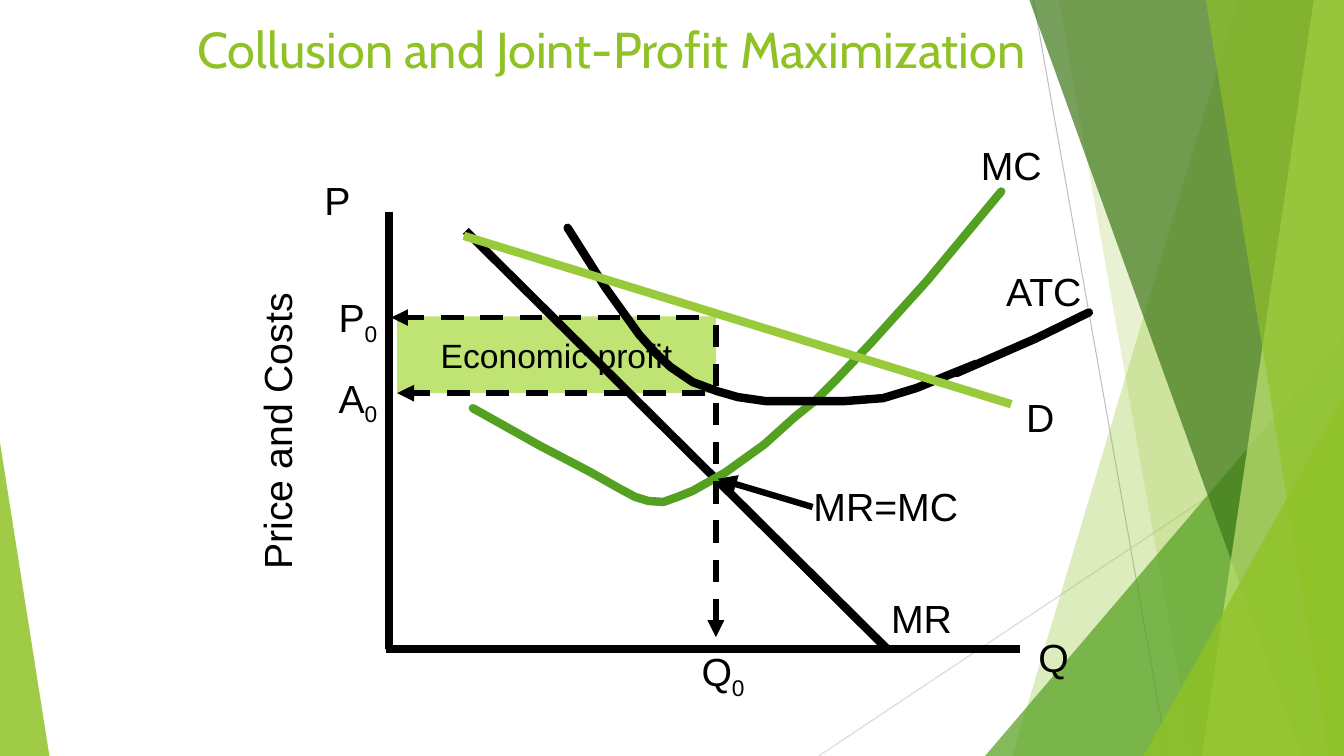
from pptx import Presentation, util as u
from pptx.dml.color import RGBColor
from pptx.enum import dml, shapes, text
from pptx.oxml.ns import qn
from lxml import etree

PX = 9144  # EMU per px, 100 px to the inch
WIDTH, HEIGHT = 1333, 750
COLORS = {
    "black": "000000", "lime": "90C226", "green": "54A021", "forest": "3F7819",
    "pale": "C0E474", "demand": "99CA3C", "grey": "BFBFBF", "silver": "D9D9D9",
}


class Diagram:
    """Holds the current slide and draws on it in px."""
    font = "Arial"
    title_font = "Cabin"
    label_size = 28

    def __init__(self, slide):
        self.slide = slide
        self.shapes = slide.shapes

    def color(self, name):
        return RGBColor.from_string(COLORS[name])

    def format_runs(self, frame, size, color="black", font=None):
        for run in frame.paragraphs[0].runs:
            run.font.size = u.Pt(size)
            run.font.name = font or self.font
            run.font.color.rgb = self.color(color)

    def fill(self, shape, color, opacity=100):
        shape.shadow.inherit = False
        shape.line.fill.background()
        shape.fill.solid()
        shape.fill.fore_color.rgb = self.color(color)
        if opacity < 100:
            rgb = shape.fill._xPr.find(".//" + qn("a:srgbClr"))
            etree.SubElement(rgb, qn("a:alpha"), val=str(opacity * 1000))

    def title(self, wording, *box):
        title = self.shapes.title
        title.left, title.top, title.width, title.height = (v * PX for v in box)
        frame = title.text_frame
        frame.text = wording
        frame.vertical_anchor = text.MSO_ANCHOR.TOP
        frame.paragraphs[0].alignment = text.PP_ALIGN.LEFT
        self.format_runs(frame, 36, "lime", self.title_font)

    def outline(self, points, closed):
        builder = self.shapes.build_freeform(*points[0], scale=PX)
        builder.add_line_segments(points[1:], close=closed)
        return builder.convert_to_shape()

    def polygon(self, points, color, opacity):
        self.fill(self.outline(points, True), color, opacity)

    def curve(self, points, color):
        curve = self.outline(points, False)
        curve.shadow.inherit = False
        curve.fill.background()
        curve.line.color.rgb = self.color(color)
        curve.line.width = u.Pt(6)
        curve.line._get_or_add_ln().set("cap", "rnd")

    def triangle(self, box, apex, color, opacity):
        triangle = self.shapes.add_shape(
            shapes.MSO_SHAPE.ISOSCELES_TRIANGLE, *(v * PX for v in box))
        triangle.adjustments[0] = apex
        self.fill(triangle, color, opacity)

    def line(self, start, end, color="black", width=6, dashed=False, arrow=False):
        line = self.shapes.add_connector(
            shapes.MSO_CONNECTOR.STRAIGHT, *(v * PX for v in start + end))
        line.line.color.rgb = self.color(color)
        line.line.width = u.Pt(width)
        if dashed:
            line.line.dash_style = dml.MSO_LINE.DASH
        if arrow:
            etree.SubElement(line.line._get_or_add_ln(), qn("a:tailEnd"), type="triangle")
        etree.SubElement(line._element.spPr, qn("a:effectLst"))

    def area(self, wording, box, color):
        area = self.shapes.add_shape(shapes.MSO_SHAPE.RECTANGLE, *(v * PX for v in box))
        self.fill(area, color)
        frame = area.text_frame
        frame.text = wording
        frame.word_wrap = False
        frame.vertical_anchor = text.MSO_ANCHOR.MIDDLE
        frame.paragraphs[0].alignment = text.PP_ALIGN.CENTER
        self.format_runs(frame, 24)

    def label(self, wording, x, y, width, height=56, subscript="", upward=False):
        box = self.shapes.add_textbox(x * PX, y * PX, width * PX, height * PX)
        frame = box.text_frame
        frame.text = wording
        frame.word_wrap = True
        paragraph = frame.paragraphs[0]
        if subscript:
            paragraph.add_run().text = subscript
        self.format_runs(frame, self.label_size)
        if subscript:
            paragraph.runs[1].font._element.set("baseline", "-25000")
        if upward:
            paragraph.alignment = text.PP_ALIGN.CENTER
            frame._txBody.bodyPr.set("vert", "vert270")


def draw_backdrop(diagram):
    def band(top_left, bottom_left, color, opacity):
        diagram.polygon([(top_left, 0), (WIDTH, 0), (WIDTH, HEIGHT), (bottom_left, HEIGHT)],
                        color, opacity)

    diagram.line((1025, 0), (1158, HEIGHT), "grey", 0.75)
    diagram.line((WIDTH, 403), (812, HEIGHT), "silver", 0.75)
    band(1228, 1004, "lime", 30)
    band(1050, 1183, "lime", 20)
    diagram.triangle((977, 333, 356, 417), 1, "green", 72)
    band(1021, 1291, "forest", 70)
    band(1303, 1192, "pale", 70)
    band(1196, 1318, "lime", 65)
    diagram.triangle((1134, 393, 199, 357), 1, "lime", 80)
    diagram.triangle((0, 439, 49, 311), 0, "lime", 85)


def draw_graph(diagram):
    marginal_cost = [
        (469, 405), (537, 443), (585, 468), (615, 485), (630, 493), (643, 497),
        (658, 498), (672, 493), (687, 487), (719, 469), (758, 441), (788, 414),
        (809, 397), (831, 375), (865, 339), (920, 278), (993, 190)]
    average_cost = [
        (563, 226), (601, 286), (634, 332), (651, 351), (665, 364), (687, 379),
        (711, 388), (732, 394), (760, 398), (791, 398), (837, 398), (876, 395),
        (909, 385), (931, 376), (968, 361), (949, 370), (995, 350), (1027, 336),
        (1080, 310)]

    diagram.area("Economic profit", (394, 314, 316, 76), "pale")
    diagram.line((462, 229), (880, 644))
    diagram.line((386, 210), (386, 644))
    diagram.line((383, 644), (1012, 644))
    diagram.curve(marginal_cost, "green")
    diagram.curve(average_cost, "black")
    diagram.line((693, 315), (388, 315), width=4, dashed=True, arrow=True)
    diagram.line((710, 322), (710, 632), width=4, dashed=True, arrow=True)
    diagram.line((460, 234), (1003, 401), "demand")
    diagram.line((699, 390), (394, 390), width=4, dashed=True, arrow=True)
    diagram.line((806, 503), (712, 475), width=4.5, arrow=True)

    for wording, x, y, width in [
            ("Q", 1020, 623, 55), ("D", 1008, 385, 71), ("MC", 963, 135, 97),
            ("ATC", 988, 260, 148), ("MR", 874, 585, 97), ("P", 312, 170, 50),
            ("MR=MC", 797, 474, 173)]:
        diagram.label(wording, x, y, width)
    for wording, x, y in [("Q", 686, 637), ("A", 326, 366), ("P", 326, 286)]:
        diagram.label(wording, x, y, 70, subscript="0")
    diagram.label("Price and Costs", 246, 248, 67, 360, upward=True)


def main():
    deck = Presentation()
    deck.slide_width, deck.slide_height = WIDTH * PX, HEIGHT * PX
    diagram = Diagram(deck.slides.add_slide(deck.slide_layouts[5]))
    draw_backdrop(diagram)
    diagram.title("Collusion and Joint-Profit Maximization", 186, 13, 961, 118)
    draw_graph(diagram)
    deck.save("out.pptx")


if __name__ == "__main__":
    main()
